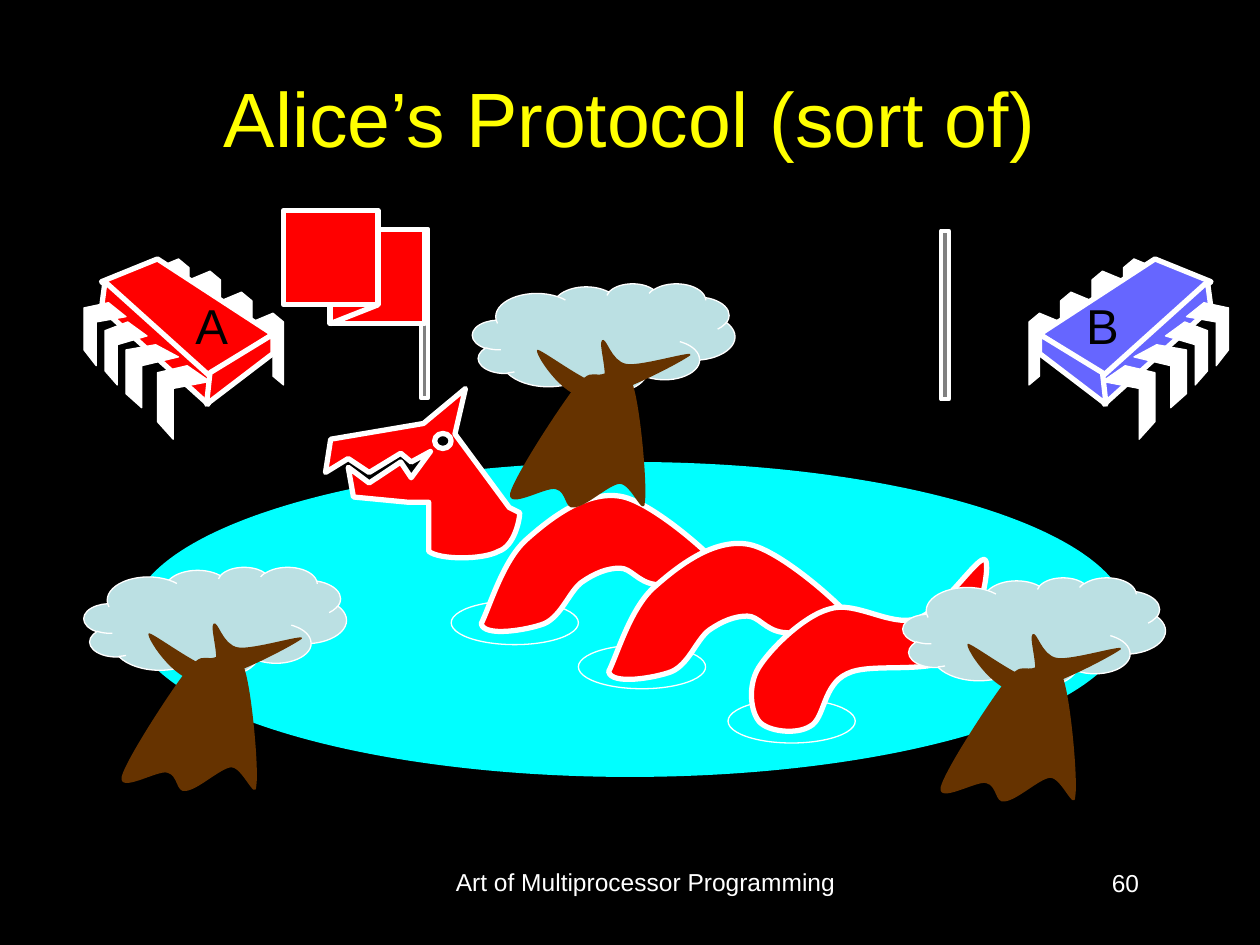
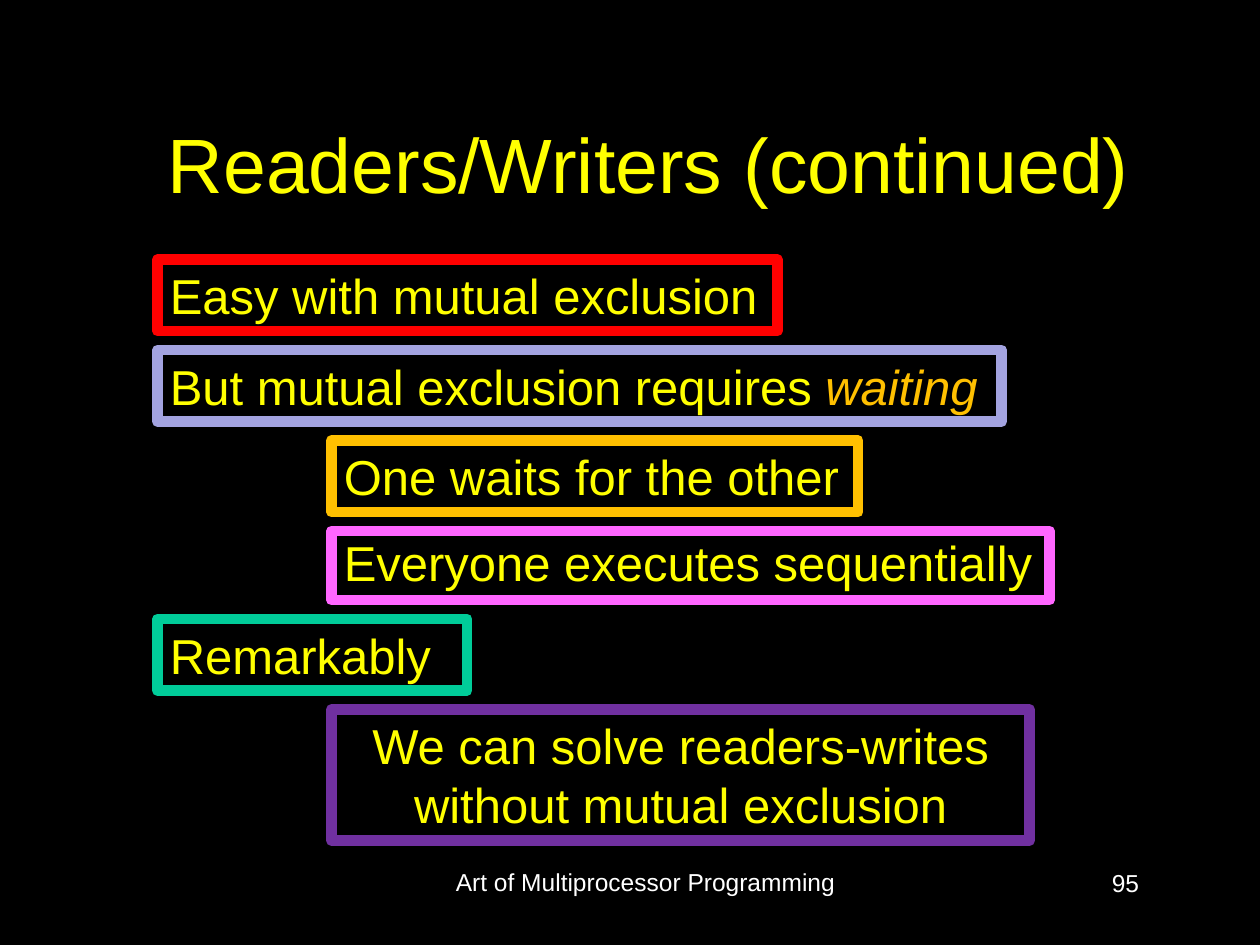
"""Build two slides: Alice and Bob's pond, and the readers/writers summary."""
from lxml import etree
from pptx import Presentation
from pptx.dml.color import RGBColor
from pptx.enum import shapes, text
from pptx.oxml import ns
from pptx.util import Pt

BLACK = RGBColor(0x00, 0x00, 0x00)
WHITE = RGBColor(0xFF, 0xFF, 0xFF)
YELLOW = RGBColor(0xFF, 0xFF, 0x00)
RED = RGBColor(0xFF, 0x00, 0x00)
BLUE = RGBColor(0x66, 0x66, 0xFF)
CYAN = RGBColor(0x00, 0xFF, 0xFF)
LEAF = RGBColor(0xBB, 0xE0, 0xE3)
BROWN = RGBColor(0x66, 0x33, 0x00)
GRAY = RGBColor(0x80, 0x80, 0x80)
LILAC = RGBColor(0xA3, 0xA3, 0xE0)
AMBER = RGBColor(0xFF, 0xC0, 0x00)
PINK = RGBColor(0xFF, 0x66, 0xFF)
GREEN = RGBColor(0x00, 0xCC, 0x99)
PURPLE = RGBColor(0x70, 0x30, 0xA0)

FONT = "Arial"
TITLE_ONLY = 5
CHIP_MIRROR = 750
OVAL = shapes.MSO_SHAPE.OVAL
RECTANGLE = shapes.MSO_SHAPE.RECTANGLE
CENTER = text.PP_ALIGN.CENTER
LEFT = text.PP_ALIGN.LEFT
RIGHT = text.PP_ALIGN.RIGHT

REAR_PIN = [(144, 184), (156, 179), (162, 184), (162, 220), (156, 215),
            (156, 191), (144, 197)]
LAST_REAR_PIN = [(90, 153), (102, 148), (108, 153), (108, 184), (102, 179),
                 (102, 159), (90, 164)]
CHIP_FACES = [
    [(90, 148), (156, 191), (119, 215), (58, 161)],
    [(60, 161), (120, 215), (119, 231), (58, 176)],
    [(156, 191), (156, 202), (118, 231), (120, 213)],
]
FRONT_PINS = [
    [(107, 209), (120, 218), (99, 222), (99, 251), (90, 241), (90, 213)],
    [(89, 197), (102, 204), (81, 209), (81, 233), (72, 225), (72, 200)],
    [(73, 184), (84, 192), (67, 197), (67, 220), (60, 212), (60, 189)],
    [(62, 173), (72, 181), (55, 184), (55, 209), (48, 200), (48, 176)],
]
HUMP = [
    (275, 356.4), (276.5, 364.3, 301.7, 360, 311, 356.4),
    (321, 352, 325.4, 337.7, 332.6, 332.6),
    (339.8, 327.6, 347, 324.7, 354.2, 324.7),
    (360.7, 324.7, 364.3, 332.6, 374.4, 334),
    (385.2, 334.8, 420.5, 339.8, 417.6, 331.2),
    (414, 323.3, 374.4, 287.3, 355, 283.7),
    (334.8, 280, 314, 296.6, 300.2, 308.9),
    (287.3, 321, 280, 346.3, 275, 356.4),
]
HEAD = [
    (291, 290), (260, 248), (266, 222), (242, 242), (189, 251), (186, 270),
    (199, 262), (211, 270), (229, 259), (235, 264), (246, 258), (235, 273),
    (229, 264), (211, 276), (199, 267), (202, 284), (233, 287), (245, 287),
    (245, 315), (251, 320, 276, 320, 285, 315),
    (294, 312, 297, 297, 297, 293),
]
TAIL = [
    (563, 320), (559.5, 316, 539, 349, 524, 353.5),
    (509, 358.5, 489, 343, 474, 348), (459, 352, 440, 371, 433.5, 381.5),
    (427, 392, 429, 407, 434, 412.5), (439, 418, 455, 420, 463, 415),
    (471.5, 410.5, 470, 391.5, 484, 385), (497.5, 378, 532, 386, 545, 375),
    (558.5, 363.5, 566.5, 323, 563, 320),
]
TRUNK = [
    (58, 60), (67, 49, 68, 52.5, 73.5, 52), (78.5, 51, 87, 45, 91.5, 57.5),
    (96, 70, 100, 116, 98.5, 125), (98, 134.5, 90.5, 114, 84, 114.5),
    (78, 115, 65, 127.5, 58, 128), (52.5, 129, 54, 119, 47.5, 117.5),
    (42, 116, 20, 129.5, 21.5, 120), (24, 110, 49.5, 71, 58, 60),
]
BRANCHES = [
    (37, 38), (35, 39.5, 51, 65, 65.5, 65.5), (80.5, 66, 121, 44, 124.5, 41),
    (128, 37.5, 96.5, 47.5, 88, 46), (79, 44.5, 76.5, 30, 74, 32.5),
    (71.5, 34, 79, 56, 73.5, 57.5), (67, 58.5, 38, 36.5, 37, 38),
]


def paint(shape, fill, line=None, weight=0.75):
    """Give a shape its fill and outline, without a shadow."""
    shape.shadow.inherit = False
    if fill is None:
        shape.fill.background()
    else:
        shape.fill.solid()
        shape.fill.fore_color.rgb = fill
    if line is None:
        shape.line.fill.background()
    else:
        shape.line.color.rgb = line
        shape.line.width = Pt(weight)


def add_preset(slide, preset, box, fill, line=None, weight=0.75):
    """Add a painted preset shape; box is left, top, width, height."""
    shape = slide.shapes.add_shape(preset, *map(Pt, box))
    paint(shape, fill, line, weight)
    return shape


def bend(shape, segments):
    """Join the three lines of each cubic segment into one curve."""
    sides = iter(list(shape._element.iter(ns.qn("a:lnTo"))))
    for segment in segments:
        side = next(sides)
        if len(segment) == 6:
            curve = etree.Element(ns.qn("a:cubicBezTo"))
            side.addprevious(curve)
            for part in (side, next(sides), next(sides)):
                curve.append(part[0])
                part.getparent().remove(part)


def add_outline(slide, outline, fill, line=None, weight=0.75, shift=(0, 0),
                mirror=None):
    """Draw a closed outline, moved by shift or mirrored left to right."""
    points = []
    for segment in outline:
        for x, y in zip(segment[::2], segment[1::2]):
            x, y = x + shift[0], y + shift[1]
            points.append((Pt(x if mirror is None else mirror - x), Pt(y)))
    builder = slide.shapes.build_freeform(*points[0])
    builder.add_line_segments(points[1:], close=True)
    shape = builder.convert_to_shape()
    bend(shape, outline[1:])
    paint(shape, fill, line, weight)


def style(paragraph, size, color, align):
    """Set the font and alignment of a paragraph."""
    paragraph.alignment = align
    paragraph.font.name = FONT
    paragraph.font.size = Pt(size)
    paragraph.font.color.rgb = color


def add_label(slide, words, box, size, color, align, wrap=True):
    """Add a one-paragraph text box."""
    frame = slide.shapes.add_textbox(*map(Pt, box)).text_frame
    frame.word_wrap = wrap
    frame.text = words
    style(frame.paragraphs[0], size, color, align)


def add_titled_slide(prs, title, title_box, number):
    """Add a slide with its title, footer and page number."""
    slide = prs.slides.add_slide(prs.slide_layouts[TITLE_ONLY])
    heading = slide.shapes.title
    heading.left, heading.top, heading.width, heading.height = map(Pt, title_box)
    heading.text_frame.text = title
    heading.text_frame.vertical_anchor = text.MSO_ANCHOR.MIDDLE
    style(heading.text_frame.paragraphs[0], 44, YELLOW, CENTER)
    add_label(slide, "Art of Multiprocessor Programming", (246, 492, 246, 37),
              14, WHITE, CENTER)
    add_label(slide, number, (508, 492.5, 150, 36), 14, WHITE, RIGHT)
    return slide


def add_chip(slide, color, mirror=None):
    """Draw a processor chip with its pins."""
    for step in range(3):
        add_outline(slide, REAR_PIN, WHITE, WHITE, shift=(-18 * step, -12 * step),
                    mirror=mirror)
    add_outline(slide, LAST_REAR_PIN, WHITE, WHITE, mirror=mirror)
    for face in CHIP_FACES:
        add_outline(slide, face, color, WHITE, 3, mirror=mirror)
    for pin in FRONT_PINS:
        add_outline(slide, pin, WHITE, WHITE, mirror=mirror)


def add_monster(slide):
    """Draw the sea monster and its ripples."""
    for left, top in [(330.5, 368.6), (416, 399.6), (257.8, 343.4)]:
        add_preset(slide, OVAL, (left, top, 72.7, 25), None, WHITE)
    for shift in [(0, 0), (72.8, 27.4)]:
        add_outline(slide, HUMP, RED, WHITE, 3, shift)
    add_outline(slide, HEAD, RED, WHITE, 3)
    add_preset(slide, OVAL, (248.4, 247.7, 9.4, 8.6), BLACK, WHITE, 3)
    add_outline(slide, TAIL, RED, WHITE, 3)


def add_tree(slide, left, top):
    """Draw a tree whose crown starts at left, top."""
    crown = add_preset(slide, shapes.MSO_SHAPE.CLOUD_CALLOUT,
                       (left, top, 150, 62.6), LEAF, WHITE)
    crown.adjustments[0], crown.adjustments[1] = 0.02, 0.49
    for wood in (TRUNK, BRANCHES):
        add_outline(slide, wood, BROWN, shift=(left, top))


def add_pole(slide, left, top):
    """Draw a flag pole."""
    add_preset(slide, RECTANGLE, (left, top, 4.3, 96.5), GRAY, WHITE, 2.25)


def add_flag(slide):
    """Draw Alice's raised flag with its fold."""
    add_pole(slide, 240.5, 131)
    add_preset(slide, RECTANGLE, (188.6, 131, 54, 54), RED, WHITE, 3)
    fold = slide.shapes.add_connector(shapes.MSO_CONNECTOR.STRAIGHT,
                                      Pt(188.6), Pt(185), Pt(216), Pt(174.2))
    fold.line.color.rgb = WHITE
    fold.line.width = Pt(3)
    etree.SubElement(fold._element.spPr, ns.qn("a:effectLst"))
    add_preset(slide, RECTANGLE, (162, 120.2, 54, 54), RED, WHITE, 3)


def add_point(slide, words, box, border, align=LEFT, spacing=1.0, accent=""):
    """Add a framed statement, with an optional accented ending."""
    frame = add_preset(slide, RECTANGLE, box, BLACK, border, 6).text_frame
    frame.word_wrap = True
    frame.vertical_anchor = text.MSO_ANCHOR.TOP
    statement = frame.paragraphs[0]
    style(statement, 28, YELLOW, align)
    statement.line_spacing = spacing
    statement.add_run().text = words
    if accent:
        ending = statement.add_run()
        ending.text = accent
        ending.font.italic = True
        ending.font.color.rgb = AMBER


def build_protocol(prs):
    """Build the pond slide."""
    slide = add_titled_slide(prs, "Alice’s Protocol (sort of)",
                             (36, 21.6, 648, 90), "60")
    add_chip(slide, RED)
    add_chip(slide, BLUE, CHIP_MIRROR)
    add_preset(slide, OVAL, (75, 264, 570, 180), CYAN)
    for name, left in [("A", 104.4), ("B", 613.4)]:
        add_label(slide, name, (left, 165.6, 33, 41), 28, BLACK, RIGHT, False)
    add_monster(slide)
    for left, top in [(270, 162), (516, 330), (48, 324)]:
        add_tree(slide, left, top)
    add_flag(slide)
    add_pole(slide, 537.8, 131.8)


def build_readers_writers(prs):
    """Build the readers/writers slide as a stack of framed statements."""
    slide = add_titled_slide(prs, "Readers/Writers (continued)",
                             (54, 48, 633.6, 90), "95")
    outer, inner, gap, top = 90, 189.4, 10.7, 148.3
    statements = [
        ("Easy with mutual exclusion", outer, 354.2, 41, RED, {}),
        ("But mutual exclusion requires ", outer, 482.4, 41, LILAC,
         {"accent": "waiting"}),
        ("One waits for the other", inner, 301, 41, AMBER, {}),
        ("Everyone executes sequentially", inner, 410.4, 39.6, PINK,
         {"spacing": 0.95}),
        ("Remarkably", outer, 177, 41, GREEN, {}),
        ("We can solve readers-writes without mutual exclusion", inner, 399, 75,
         PURPLE, {"align": CENTER}),
    ]
    for words, left, width, height, border, options in statements:
        add_point(slide, words, (left, top, width, height), border, **options)
        top += height + gap


def main():
    """Build and save the presentation."""
    prs = Presentation()
    prs.slide_width, prs.slide_height = Pt(720), Pt(540)
    backdrop = prs.slide_master.background.fill
    backdrop.solid()
    backdrop.fore_color.rgb = BLACK
    build_protocol(prs)
    build_readers_writers(prs)
    prs.save("out.pptx")


if __name__ == "__main__":
    main()
